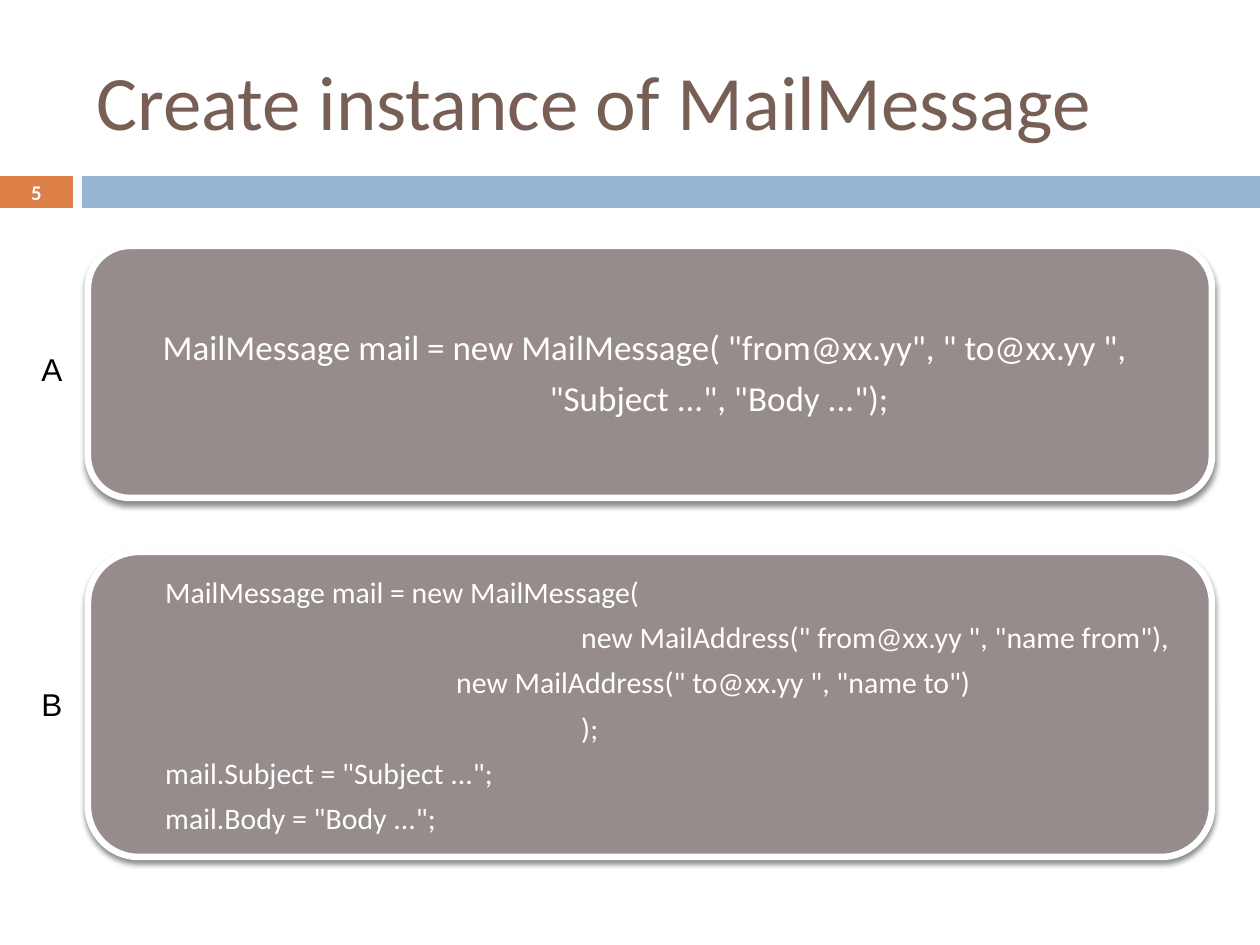
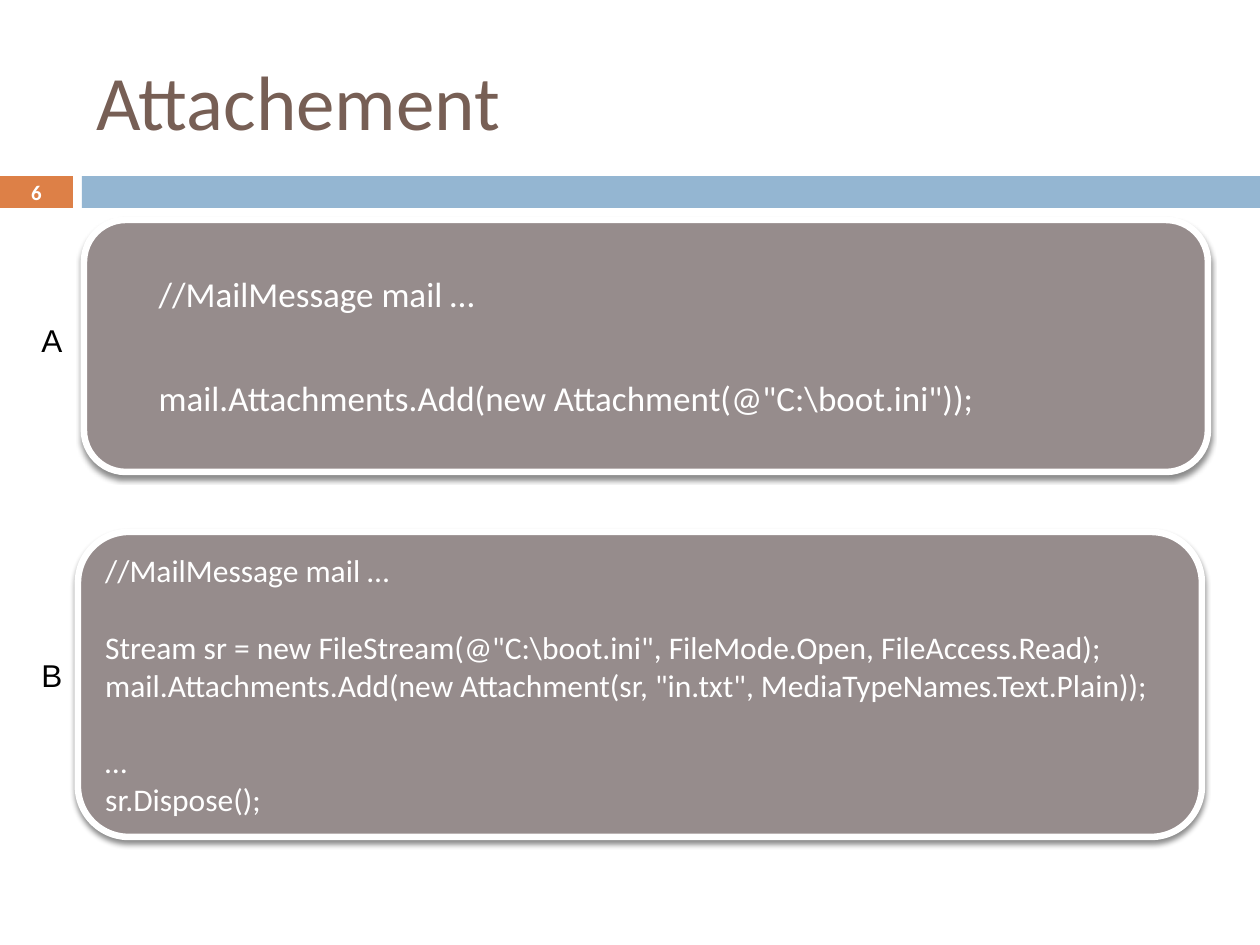
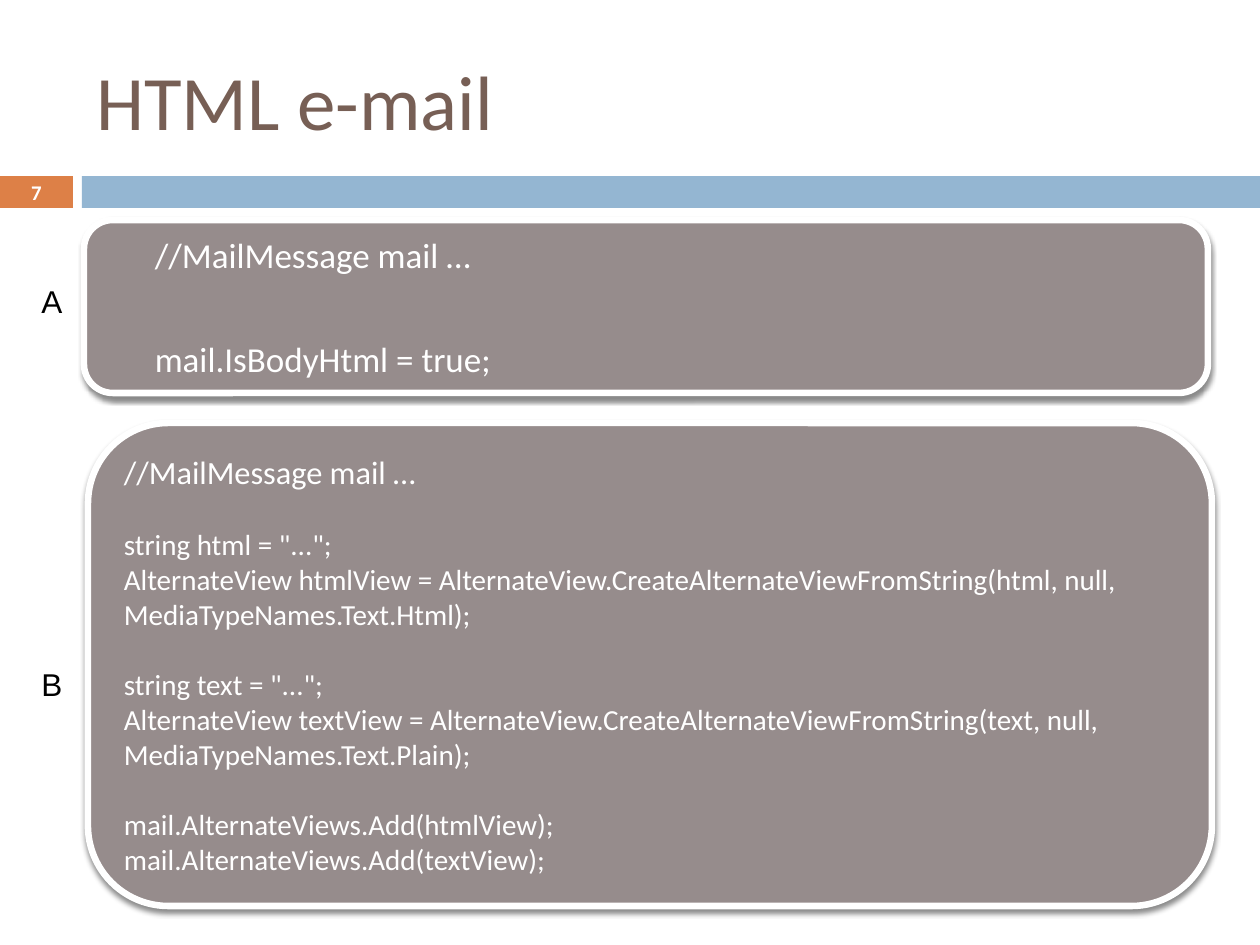
from collections import namedtuple

from lxml import etree
from pptx import Presentation
from pptx.dml.color import RGBColor
from pptx.enum.shapes import MSO_SHAPE
from pptx.enum.text import MSO_ANCHOR, PP_ALIGN
from pptx.oxml.ns import qn
from pptx.util import Emu, Pt

RECTANGLE, ROUNDED = MSO_SHAPE.RECTANGLE, MSO_SHAPE.ROUNDED_RECTANGLE
MIDDLE, TOP = MSO_ANCHOR.MIDDLE, MSO_ANCHOR.TOP
LEFT, CENTER = PP_ALIGN.LEFT, PP_ALIGN.CENTER

BROWN = RGBColor(0x77, 0x5F, 0x55)
ORANGE = RGBColor(0xDD, 0x80, 0x47)
BLUE = RGBColor(0x94, 0xB6, 0xD2)
TAUPE = RGBColor(0x96, 0x8C, 0x8C)
WHITE = RGBColor(0xFF, 0xFF, 0xFF)
BLACK = RGBColor(0, 0, 0)

PX_PER_INCH = 126
PAGE_WIDTH, PAGE_HEIGHT = 1260, 945
TITLE_BOX = (84, 32, 1124, 136)
NUMBER_BOX = (0, 176, 73, 32)
BAND_BOX = (82, 176, 1178, 32)
PANEL_WIDTH = 1124
LABEL_LEFT, LABEL_WIDTH, LABEL_HEIGHT = 29, 47, 50
LINE_HEIGHT = 1.22  # of the text size, in Calibri
STEP = 50  # usual indent of code, px

# gap: whole lines left free above; indent in px; size None means the panel's size
Line = namedtuple("Line", "text indent gap size", defaults=(0, 0, None))
# box is left, top, height; spacing is the space before each line in points
Panel = namedtuple("Panel", "label label_top box size spacing lines")

PAGES = [
    (5, "Create instance of MailMessage", [
        Panel("A", 344, (88, 246, 252), 20, 5.5, [
            Line('MailMessage mail = new MailMessage( "from@xx.yy", " to@xx.yy ",', STEP),
            Line('"Subject ...", "Body ...");', 437),
        ]),
        Panel("B", 679, (88, 552, 305), 17, 5.5, [
            Line("MailMessage mail = new MailMessage(", STEP),
            Line('new MailAddress(" from@xx.yy ", "name from"),', 466),
            Line('new MailAddress(" to@xx.yy ", "name to")', 341),
            Line(");", 466),
            Line('mail.Subject = "Subject ...";', STEP),
            Line('mail.Body = "Body ...";', STEP),
        ]),
    ]),
    (6, "Attachement", [
        Panel("A", 315, (84, 220, 252), 20, 5.5, [
            Line("//MailMessage mail …", STEP),
            Line('mail.Attachments.Add(new Attachment(@"C:\\boot.ini"));', STEP, gap=1),
        ]),
        Panel("B", 650, (78, 532, 305), 18, 0, [
            Line("//MailMessage mail …"),
            Line('Stream sr = new FileStream(@"C:\\boot.ini", FileMode.Open, FileAccess.Read);', gap=1),
            Line('mail.Attachments.Add(new Attachment(sr, "in.txt", MediaTypeNames.Text.Plain));'),
            Line("…", gap=1),
            Line("sr.Dispose();"),
        ]),
    ]),
    (7, "HTML e-mail", [
        Panel("A", 276, (84, 220, 173), 20, 5.5, [
            Line("//MailMessage mail …", STEP),
            Line("mail.IsBodyHtml = true;", STEP, gap=1),
        ]),
        Panel("B", 659, (88, 423, 483), 16.6, 0, [
            Line("//MailMessage mail …", size=18.5),
            Line('string html = "...";', gap=1),
            Line("AlternateView htmlView = AlternateView.CreateAlternateViewFromString"
                 "(html, null, MediaTypeNames.Text.Html);"),
            Line('string text = "...";', gap=1),
            Line("AlternateView textView = AlternateView.CreateAlternateViewFromString"
                 "(text, null, MediaTypeNames.Text.Plain);"),
            Line("mail.AlternateViews.Add(htmlView);", gap=1),
            Line("mail.AlternateViews.Add(textView);"),
        ]),
    ]),
]


def px(length):
    return Emu(round(length * 914400 / PX_PER_INCH))


def style_para(para, text, size, color, name="Calibri", bold=False, align=LEFT):
    para.text = text
    para.alignment = align
    font = para.font
    font.name, font.size, font.bold = name, Pt(size), bold
    font.color.rgb = color


def add_text(page, box, text, size, color, name="Calibri", anchor=TOP):
    frame = page.shapes.add_textbox(*map(px, box)).text_frame
    frame.word_wrap = True
    frame.vertical_anchor = anchor
    style_para(frame.paragraphs[0], text, size, color, name)


def add_block(page, kind, box, fill):
    block = page.shapes.add_shape(kind, *map(px, box))
    block.shadow.inherit = False
    block.fill.solid()
    block.fill.fore_color.rgb = fill
    block.line.fill.background()
    return block


def add_soft_shadow(shape):
    effects = shape._element.spPr.find(qn("a:effectLst"))
    shadow = etree.SubElement(effects, qn("a:outerShdw"), blurRad=str(Pt(3)),
                              dist=str(Pt(2.4)), dir="5400000", rotWithShape="0")
    color = etree.SubElement(shadow, qn("a:srgbClr"), val=str(BLACK))
    etree.SubElement(color, qn("a:alpha"), val="45000")


def add_header(page, number, title):
    """Draw the title and the band below it with the page number."""
    add_block(page, RECTANGLE, BAND_BOX, BLUE)
    frame = add_block(page, RECTANGLE, NUMBER_BOX, ORANGE).text_frame
    frame.margin_top = frame.margin_bottom = 0
    frame.vertical_anchor = MIDDLE
    style_para(frame.paragraphs[0], str(number), 11.9, WHITE, bold=True, align=CENTER)
    add_text(page, TITLE_BOX, title, 44, BROWN, anchor=MIDDLE)


def add_panel(page, panel):
    """Draw a rounded box of code lines and the letter to its left."""
    left, top, height = panel.box
    block = add_block(page, ROUNDED, (left, top, PANEL_WIDTH, height), TAUPE)
    block.line.color.rgb = WHITE
    block.line.width = Pt(3.75)
    add_soft_shadow(block)

    frame = block.text_frame
    frame.word_wrap = True
    frame.vertical_anchor = MIDDLE
    free_line = panel.size * LINE_HEIGHT + panel.spacing
    for index, line in enumerate(panel.lines):
        para = frame.add_paragraph() if index else frame.paragraphs[0]
        style_para(para, line.text, line.size or panel.size, WHITE)
        para.space_before = Pt(panel.spacing + line.gap * free_line)
        para._p.get_or_add_pPr().set("marL", str(px(line.indent)))

    label_box = (LABEL_LEFT, panel.label_top, LABEL_WIDTH, LABEL_HEIGHT)
    add_text(page, label_box, panel.label, 18, BLACK, "Arial")


def main():
    deck = Presentation()
    deck.slide_width, deck.slide_height = px(PAGE_WIDTH), px(PAGE_HEIGHT)
    for number, title, panels in PAGES:
        page = deck.slides.add_slide(deck.slide_layouts[6])
        add_header(page, number, title)
        for panel in panels:
            add_panel(page, panel)
    deck.save("out.pptx")


if __name__ == "__main__":
    main()
